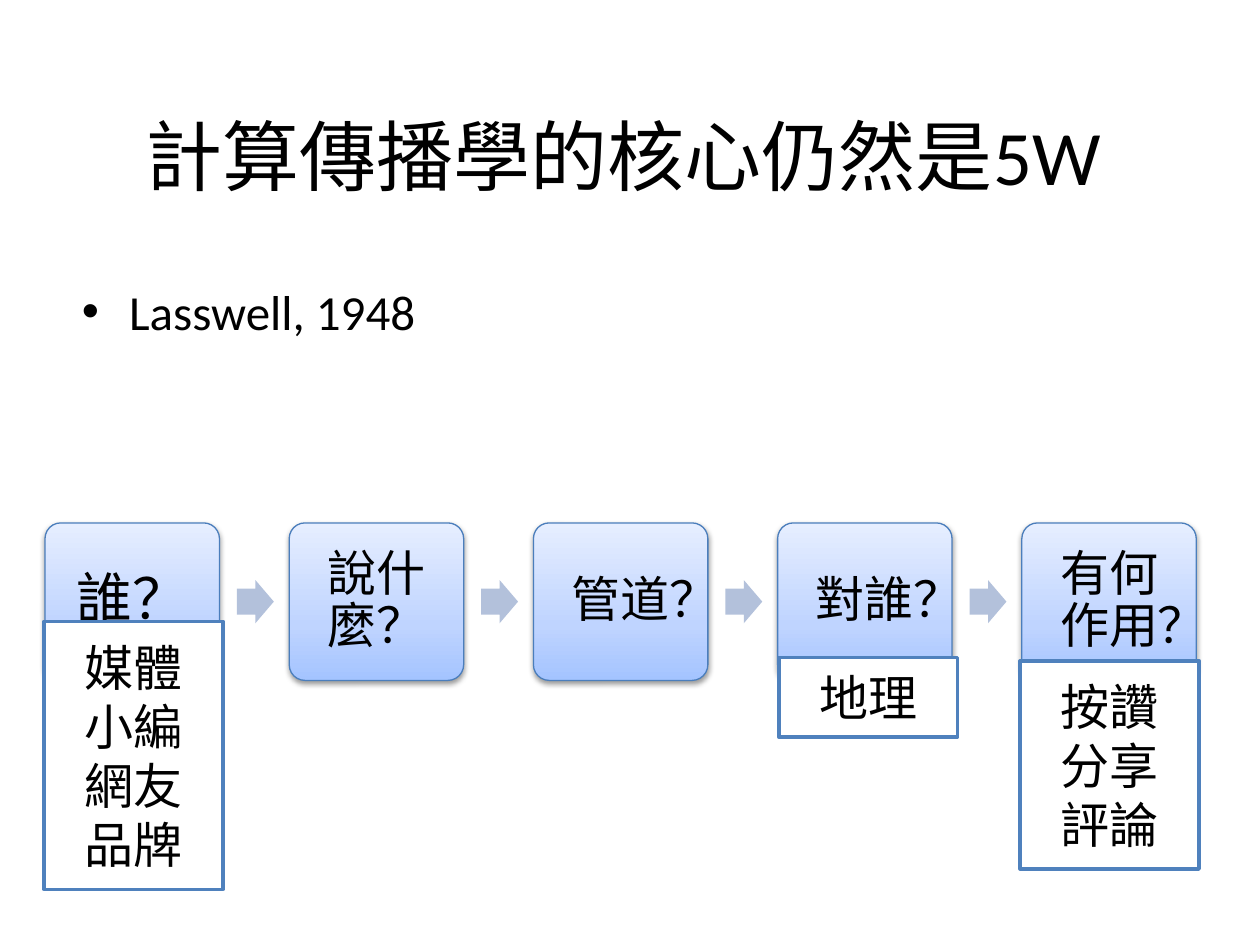
from copy import deepcopy

from lxml import etree
from pptx import Presentation
from pptx.dml.color import RGBColor
from pptx.enum import shapes, text
from pptx.oxml import parse_xml
from pptx.util import Pt

TITLE = "計算傳播學的核心仍然是5W"
SOURCE = "Lasswell, 1948"
STEPS = [  # question, font size, inset
    ("誰？", 32, 9.6),
    ("說什麼？", 28, 8.4),
    ("管道？", 28, 8.4),
    ("對誰？", 28, 8.4),
    ("有何作用？", 28, 8.4),
]
EXAMPLES = [  # left, top, height, lines
    (25.2, 355, 153.2, ["媒體", "小編", "網友", "品牌"]),
    (445, 375.6, 45.6, ["地理"]),
    (583, 377.6, 119, ["按讚", "分享", "評論"]),
]
FONT = "Calibri"
BLACK, WHITE = "000000", "FFFFFF"
GRADIENT = [(0, "A4C4FF"), (0.35, "BFD4FF"), (1, "E6EEFF")]
STEP_LEFT, STEP_TOP, STEP_WIDTH, STEP_HEIGHT = 25.7, 298.8, 99.7, 90
STEP_PITCH = 139.55
ARROW_OFFSET, ARROW_WIDTH, ARROW_HEIGHT = 109.7, 21.1, 24.7
EXAMPLE_WIDTH = 102.2
DRAWING = "http://schemas.openxmlformats.org/drawingml/2006/main"
SHADOW = (
    f'<a:effectLst xmlns:a="{DRAWING}">'
    '<a:outerShdw blurRad="40000" dist="20000" dir="5400000" rotWithShape="0">'
    '<a:srgbClr val="000000"><a:alpha val="38000"/></a:srgbClr>'
    "</a:outerShdw></a:effectLst>"
)


def color(value):
    """Turn a hex string into a colour."""
    return RGBColor.from_string(value)


def place(shape, left, top, width, height):
    """Move and size a shape, in points."""
    shape.left, shape.top = Pt(left), Pt(top)
    shape.width, shape.height = Pt(width), Pt(height)


def style(paragraph, size):
    """Set the common font of a paragraph."""
    paragraph.font.name, paragraph.font.size = FONT, Pt(size)
    paragraph.font.color.rgb = color(BLACK)


def add_box(slide, kind, box, fill=None, line=None, width=0):
    """Add a preset shape with plain fill and line."""
    shape = slide.shapes.add_shape(kind, *map(Pt, box))
    shape.shadow.inherit = False
    if fill:
        shape.fill.solid()
        shape.fill.fore_color.rgb = color(fill)
    if line:
        shape.line.color.rgb = color(line)
        shape.line.width = Pt(width)
    else:
        shape.line.fill.background()
    return shape


def write(shape, lines, size):
    """Write centred lines in the middle of a shape."""
    frame = shape.text_frame
    frame.word_wrap = True
    frame.vertical_anchor = text.MSO_ANCHOR.MIDDLE
    frame.text = "\n".join(lines)
    for paragraph in frame.paragraphs:
        paragraph.alignment = text.PP_ALIGN.CENTER
        style(paragraph, size)
    return frame


def shade(shape):
    """Give a step its three-colour gradient and soft shadow."""
    shape.fill.gradient()
    shape.fill.gradient_angle = 90
    first = shape._element.spPr.find(f".//{{{DRAWING}}}gs")
    first.addnext(deepcopy(first))
    for stop, (position, value) in zip(shape.fill.gradient_stops, GRADIENT):
        stop.position, stop.color.rgb = position, color(value)
    effects = shape._element.spPr.find(f"{{{DRAWING}}}effectLst")
    effects.getparent().replace(effects, parse_xml(SHADOW))


def add_step(slide, left, question, size, inset):
    """Add one question of the process."""
    box = (left, STEP_TOP, STEP_WIDTH, STEP_HEIGHT)
    shape = add_box(slide, shapes.MSO_SHAPE.ROUNDED_RECTANGLE, box,
                    line="4B7EBC", width=0.75)
    shape.adjustments[0] = 0.1
    shade(shape)
    frame = write(shape, [question], size)
    frame.margin_left = frame.margin_right = Pt(inset)
    frame.margin_top = frame.margin_bottom = Pt(inset)
    frame.paragraphs[0].line_spacing = 0.9


def add_arrow(slide, left):
    """Add the arrow that leads to the next step."""
    top = STEP_TOP + (STEP_HEIGHT - ARROW_HEIGHT) / 2
    arrow = add_box(slide, shapes.MSO_SHAPE.RIGHT_ARROW,
                    (left, top, ARROW_WIDTH, ARROW_HEIGHT), "B3C1DB")
    arrow.adjustments[0] = 0.6


presentation = Presentation()
presentation.slide_width, presentation.slide_height = Pt(720), Pt(540)
slide = presentation.slides.add_slide(presentation.slide_layouts[1])

title, body = slide.shapes.title, slide.placeholders[1]
place(title, 32.4, 43.2, 648, 90)
place(body, 39.6, 157, 641.5, 79.2)
for placeholder, words, size in [(title, TITLE, 44), (body, SOURCE, 28)]:
    placeholder.text_frame.text = words
    style(placeholder.text_frame.paragraphs[0], size)

for index, step in enumerate(STEPS):
    left = STEP_LEFT + index * STEP_PITCH
    add_step(slide, left, *step)
    if index < len(STEPS) - 1:
        add_arrow(slide, left + ARROW_OFFSET)

for left, top, height, lines in EXAMPLES:
    example = add_box(slide, shapes.MSO_SHAPE.RECTANGLE,
                      (left, top, EXAMPLE_WIDTH, height), WHITE, "4F81BD", 2)
    write(example, lines, 28)

presentation.save("out.pptx")
